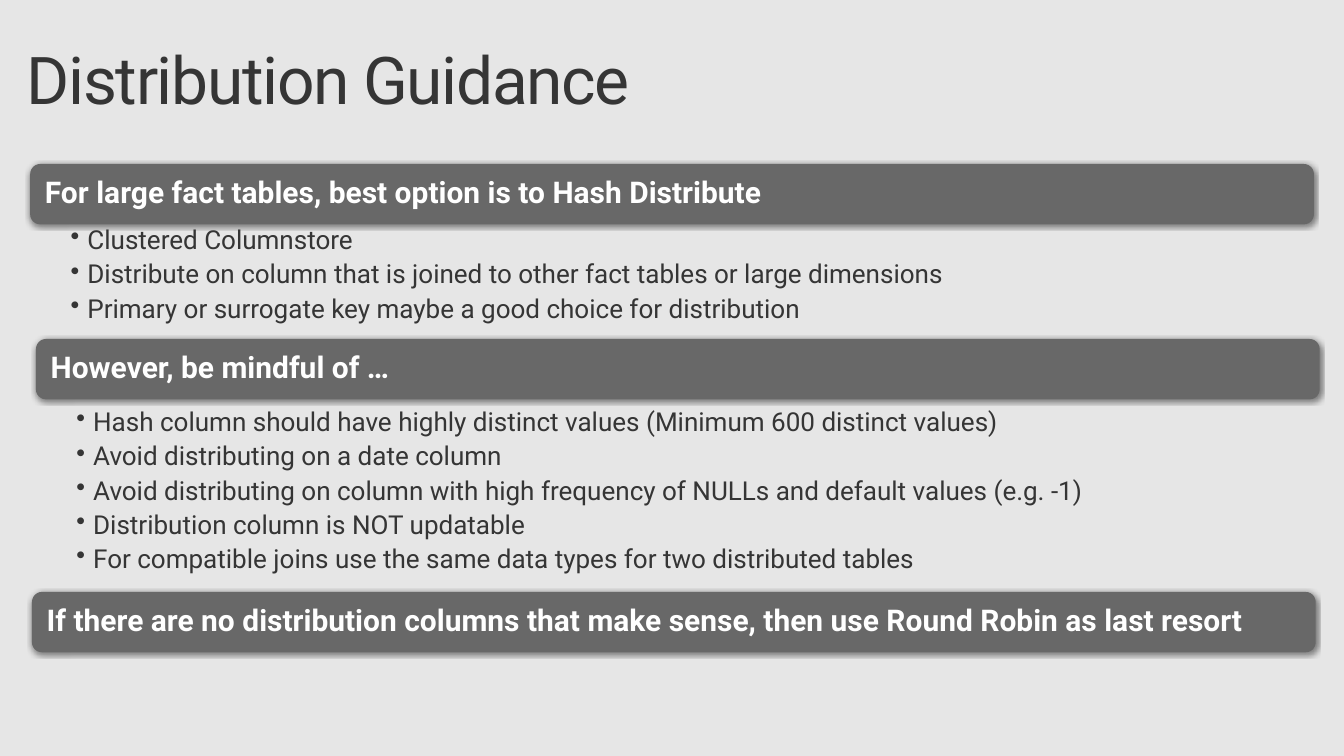
from lxml.etree import SubElement
from pptx import Presentation
from pptx.dml.color import RGBColor
from pptx.enum.shapes import MSO_SHAPE
from pptx.enum.text import MSO_ANCHOR, PP_ALIGN
from pptx.oxml.ns import qn
from pptx.util import Pt

COLORS = {"background": "E6E6E6", "bar": "686868", "dark": "353535",
          "light": "FFFFFF", "shadow": "000000"}
TITLE = {"size": Pt(48), "name": "Roboto"}
HEADING = {"size": Pt(21.8), "name": "Roboto", "bold": True}
BULLET = {"size": Pt(19), "name": "Roboto"}

FACT_TABLES = [
    "Clustered Columnstore",
    "Distribute on column that is joined to other fact tables or large dimensions",
    "Primary or surrogate key maybe a good choice for distribution",
]
CAUTIONS = [
    "Hash column should have highly distinct values (Minimum 600 distinct values)",
    "Avoid distributing on a date column",
    "Avoid distributing on column with high frequency of NULLs and default values (e.g. -1)",
    "Distribution column is NOT updatable",
    "For compatible joins use the same data types for two distributed tables",
]


def set_frame(tf, left, top, right, bottom, anchor=MSO_ANCHOR.TOP):
    values = {"margin_left": Pt(left), "margin_top": Pt(top),
              "margin_right": Pt(right), "margin_bottom": Pt(bottom),
              "word_wrap": True, "vertical_anchor": anchor}
    for key, value in values.items():
        setattr(tf, key, value)


def add_text(p, text, style, color):
    p.alignment = PP_ALIGN.LEFT
    p.line_spacing = 0.9
    r = p.add_run()
    r.text = text
    for key, value in style.items():
        setattr(r.font, key, value)
    r.font.color.rgb = RGBColor.from_string(COLORS[color])
    return r


def add_shadow(sp):
    effects = sp._element.spPr.find(qn("a:effectLst"))
    shadow = SubElement(effects, qn("a:outerShdw"), blurRad=str(Pt(3.5)),
                        dist=str(Pt(1.1)), dir="5400000", rotWithShape="0")
    color = SubElement(shadow, qn("a:srgbClr"), val=COLORS["shadow"])
    SubElement(color, qn("a:alpha"), val="45000")


def add_title(s, text, left, top, width, height):
    sp = s.shapes.add_textbox(Pt(left), Pt(top), Pt(width), Pt(height))
    tf = sp.text_frame
    set_frame(tf, 11.5, 7.2, 11.5, 7.2)
    r = add_text(tf.paragraphs[0], text, TITLE, "dark")
    r._r.get_or_add_rPr().set("spc", "-100")


def add_bar(s, text, left, top, width=935.3, height=44):
    sp = s.shapes.add_shape(MSO_SHAPE.ROUNDED_RECTANGLE,
                            Pt(left), Pt(top), Pt(width), Pt(height))
    sp.adjustments[0] = 1 / 6
    sp.fill.solid()
    sp.fill.fore_color.rgb = RGBColor.from_string(COLORS["bar"])
    sp.line.fill.background()
    sp.shadow.inherit = False
    add_shadow(sp)
    set_frame(sp.text_frame, 8.6, 8.6, 8.6, 8.6, MSO_ANCHOR.MIDDLE)
    add_text(sp.text_frame.paragraphs[0], text, HEADING, "light")


def add_bullets(s, items, left, top, width, height):
    sp = s.shapes.add_textbox(Pt(left), Pt(top), Pt(width), Pt(height))
    tf = sp.text_frame
    set_frame(tf, 29.5, 2.2, 12.2, 2.2)
    for i, item in enumerate(items):
        p = tf.add_paragraph() if i else tf.paragraphs[0]
        pPr = p._p.get_or_add_pPr()
        pPr.set("marL", str(Pt(12.2)))
        pPr.set("indent", str(-Pt(12.2)))
        SubElement(pPr, qn("a:buChar"), char="•")
        p.space_after = Pt(4.4)
        add_text(p, item, BULLET, "dark")


def add_guidance(prs):
    s = prs.slides.add_slide(prs.slide_layouts[6])
    s.background.fill.solid()
    s.background.fill.fore_color.rgb = RGBColor.from_string(COLORS["background"])
    add_title(s, "Distribution Guidance", 8, 27.4, 843.8, 77.8)
    add_bar(s, "For large fact tables, best option is to Hash Distribute", 22, 119.5)
    add_bullets(s, FACT_TABLES, 22, 163.4, 929.5, 81.4)
    add_bar(s, "However, be mindful of …", 26.2, 247)
    add_bullets(s, CAUTIONS, 26.2, 296, 935.3, 120.2)
    add_bar(s, "If there are no distribution columns that make sense, "
               "then use Round Robin as last resort", 23.3, 431.3)


def main():
    prs = Presentation()
    prs.slide_width, prs.slide_height = Pt(979.2), Pt(550.8)
    add_guidance(prs)
    prs.save("out.pptx")


if __name__ == "__main__":
    main()
